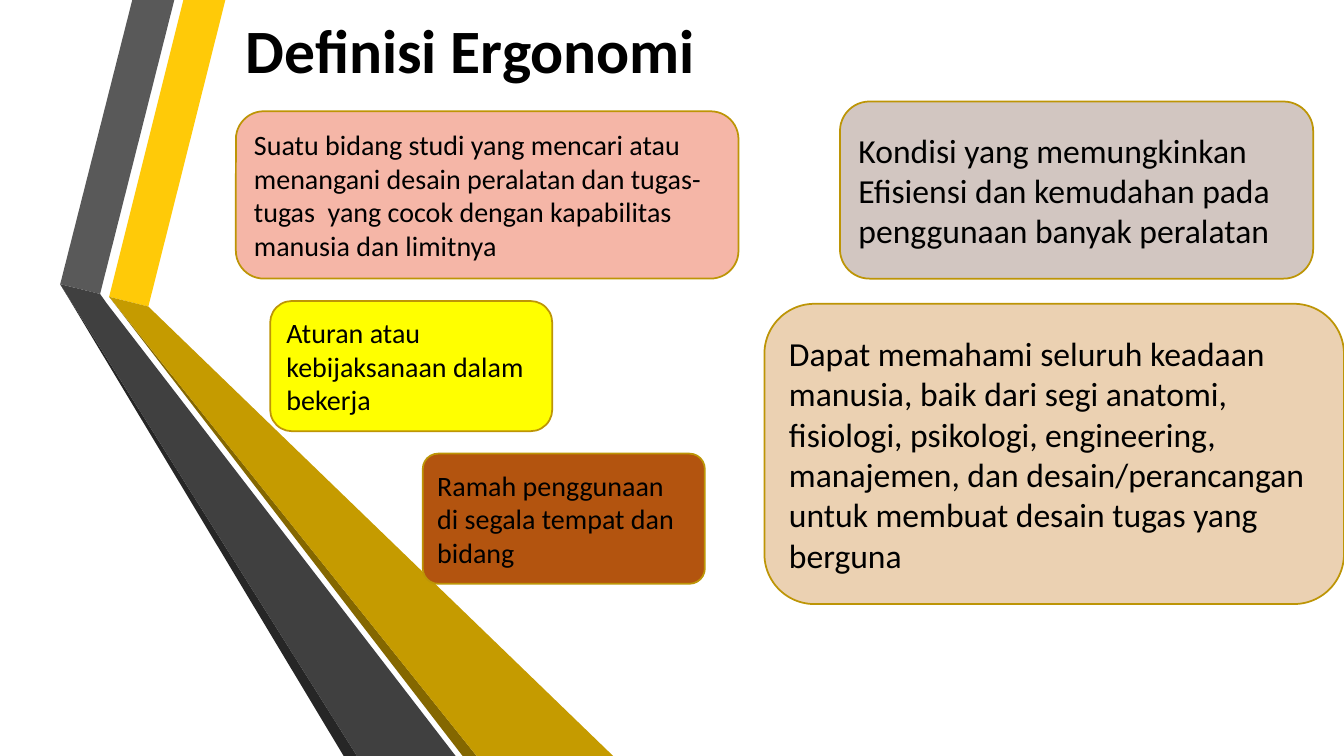
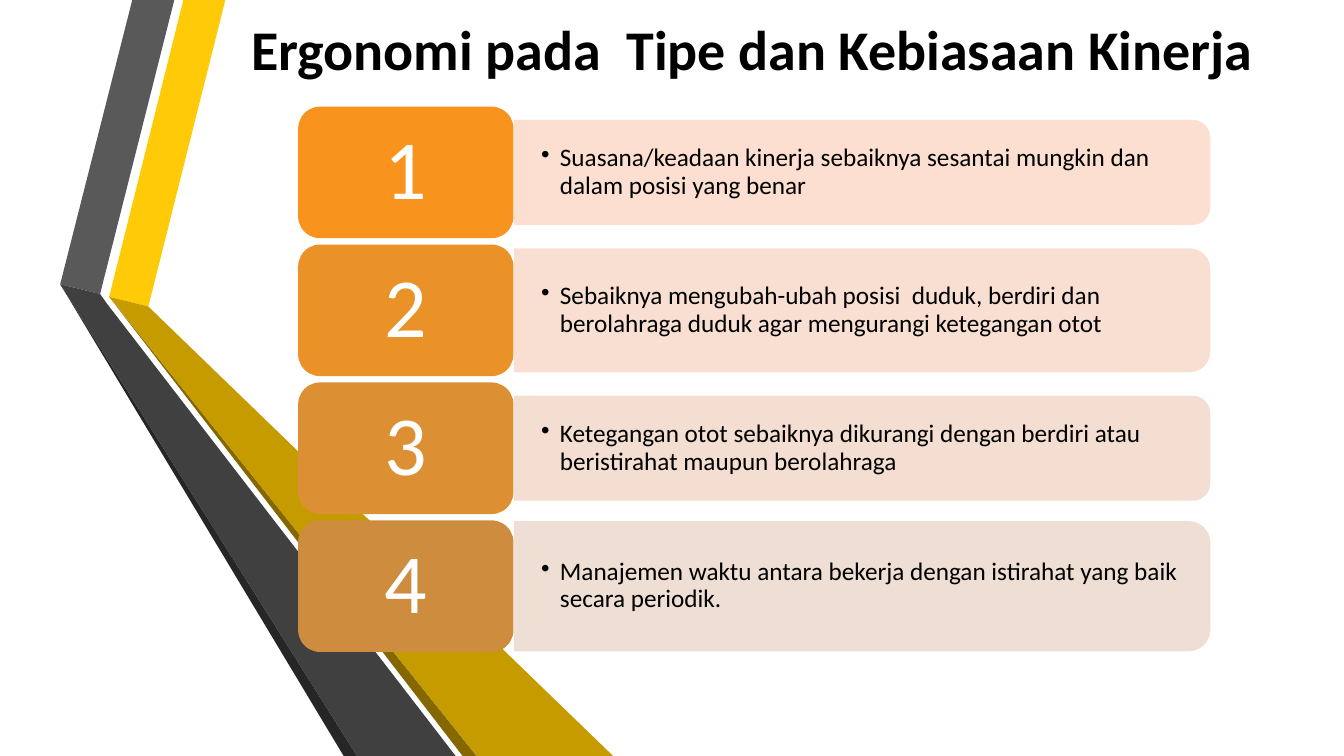
from lxml import etree
from pptx import Presentation
from pptx.dml.color import RGBColor
from pptx.enum.shapes import MSO_SHAPE
from pptx.enum.text import MSO_ANCHOR, PP_ALIGN
from pptx.oxml.ns import qn
from pptx.util import Pt

ROUNDED = MSO_SHAPE.ROUNDED_RECTANGLE
TWO_ROUNDED = MSO_SHAPE.ROUND_2_SAME_RECTANGLE
MIDDLE, BOTTOM = MSO_ANCHOR.MIDDLE, MSO_ANCHOR.BOTTOM
LEFT, CENTER = PP_ALIGN.LEFT, PP_ALIGN.CENTER

FONT = "Calibri"
BLACK = RGBColor(0x00, 0x00, 0x00)
WHITE = RGBColor(0xFF, 0xFF, 0xFF)
GOLD = RGBColor(0xFF, 0xCA, 0x08)
DARK_GOLD = RGBColor(0xC5, 0x9B, 0x00)
GOLD_SHADE = RGBColor(0x84, 0x67, 0x00)
GOLD_LINE = RGBColor(0xBD, 0x95, 0x06)
GRAY = RGBColor(0x59, 0x59, 0x59)
DARK_GRAY = RGBColor(0x40, 0x40, 0x40)
GRAY_SHADE = RGBColor(0x26, 0x26, 0x26)
PINK = RGBColor(0xF5, 0xB6, 0xA7)
SAND = RGBColor(0xEB, 0xD1, 0xB2)
YELLOW = RGBColor(0xFF, 0xFF, 0x00)
BROWN = RGBColor(0xB3, 0x54, 0x0F)
TAUPE = RGBColor(0xD2, 0xC6, 0xC1)

RIBBONS = [
    (GOLD, [(78, 212), (106, 219), (161, 0), (131, 0)]),
    (GRAY, [(71.5, 210), (124.5, 0), (94.5, 0), (43, 203)]),
    (GRAY_SHADE, [(43, 203), (245.5, 540), (255, 540)]),
    (GOLD_SHADE, [(78, 212), (330.5, 540), (340.5, 540)]),
    (DARK_GOLD, [(78, 212), (340.5, 540), (438, 540), (106, 219)]),
    (DARK_GRAY, [(43, 203), (255, 540), (325.5, 540), (76.5, 217), (71.5, 210)]),
]

DEFINITION_TITLE = ("Definisi Ergonomi", 44, (168.5, 9, 565, 56))
DEFINITIONS = [
    ("Suatu bidang studi yang mencari atau menangani desain peralatan dan tugas-tugas  "
     "yang cocok dengan kapabilitas manusia dan limitnya",
     20, PINK, (168.5, 79.5, 359, 119.5), 0.1667),
    ("Dapat memahami seluruh keadaan manusia, baik dari segi anatomi, fisiologi, "
     "psikologi, engineering, manajemen, dan desain/perancangan untuk membuat desain "
     "tugas yang berguna",
     24, SAND, (546, 217, 414, 214.5), 0.1667),
    ("Aturan atau kebijaksanaan dalam bekerja",
     20, YELLOW, (193, 215, 201.5, 93), 0.1667),
    ("Ramah penggunaan di segala tempat dan bidang",
     20, BROWN, (302, 324, 201.5, 93), 0.118),
    ("Kondisi yang memungkinkan Efisiensi dan kemudahan pada penggunaan banyak peralatan",
     24, TAUPE, (600, 72.5, 338, 126.5), 0.1667),
]

HABIT_TITLE = ("Ergonomi pada  Tipe dan Kebiasaan Kinerja", 40, (172.5, 2, 759, 60))
HABITS = [
    ("Suasana/keadaan kinerja sebaiknya sesantai mungkin dan dalam posisi yang benar",
     75, RGBColor(0xF8, 0x93, 0x1D), RGBColor(0xFC, 0xDC, 0xCD)),
    ("Sebaiknya mengubah-ubah posisi  duduk, berdiri dan berolahraga duduk agar "
     "mengurangi ketegangan otot",
     88.5, RGBColor(0xEA, 0x91, 0x28), RGBColor(0xF8, 0xDC, 0xCD)),
    ("Ketegangan otot sebaiknya dikurangi dengan berdiri atau beristirahat maupun "
     "berolahraga",
     75, RGBColor(0xDC, 0x8F, 0x33), RGBColor(0xF3, 0xDB, 0xCD)),
    ("Manajemen waktu antara bekerja dengan istirahat yang baik secara periodik.",
     93, RGBColor(0xCE, 0x8D, 0x3E), RGBColor(0xED, 0xDB, 0xCF)),
]
NUMBER_LEFT, NUMBER_TOP, NUMBER_WIDTH, NUMBER_HEIGHT = 213, 76.2, 153.8, 94
ROW_PITCH = 98.5
BAND_LEFT, BAND_WIDTH, BAND_TEXT_WIDTH = 367, 497.5, 493.5
BAND_INSETS = (19.5, 10)
BULLET_INDENT = 13.5


def write(shape, text, size, color=BLACK, align=LEFT, anchor=MIDDLE,
          bold=False, spacing=1.0, insets=(7.2, 3.6), bullet=False):
    frame = shape.text_frame
    frame.word_wrap = True
    frame.vertical_anchor = anchor
    frame.margin_left = frame.margin_right = Pt(insets[0])
    frame.margin_top = frame.margin_bottom = Pt(insets[1])
    paragraph = frame.paragraphs[0]
    paragraph.text = text
    paragraph.alignment = align
    paragraph.line_spacing = spacing
    if bullet:
        properties = paragraph._p.get_or_add_pPr()
        properties.set("marL", str(Pt(BULLET_INDENT)))
        properties.set("indent", str(-Pt(BULLET_INDENT)))
        etree.SubElement(properties, qn("a:buChar")).set("char", "•")
    font = paragraph.font
    font.name, font.size, font.bold = FONT, Pt(size), bold
    font.color.rgb = color


def paint(shape, fill, line=None):
    shape.shadow.inherit = False
    shape.fill.solid()
    shape.fill.fore_color.rgb = fill
    if line is None:
        shape.line.fill.background()
    else:
        shape.line.color.rgb = line
        shape.line.width = Pt(1.25)


def add_box(slide, preset, box, fill, line=None):
    shape = slide.shapes.add_shape(preset, *map(Pt, box))
    paint(shape, fill, line)
    return shape


def add_title(slide, text, size, box):
    write(slide.shapes.add_textbox(*map(Pt, box)), text, size, anchor=BOTTOM, bold=True)


def add_ribbons_to_layout(layout, slide):
    for placeholder in list(layout.placeholders):
        layout.shapes.element.remove(placeholder.element)
    for color, points in RIBBONS:
        (start_x, start_y), *others = points
        builder = slide.shapes.build_freeform(Pt(start_x), Pt(start_y))
        builder.add_line_segments([(Pt(x), Pt(y)) for x, y in others])
        ribbon = builder.convert_to_shape()
        paint(ribbon, color)
        layout.shapes.element.append(ribbon.element)


def build_definitions(slide):
    add_title(slide, *DEFINITION_TITLE)
    for text, size, fill, box, rounding in DEFINITIONS:
        shape = add_box(slide, ROUNDED, box, fill, GOLD_LINE)
        shape.adjustments[0] = rounding
        write(shape, text, size)


def build_habits(slide):
    add_title(slide, *HABIT_TITLE)
    for index, (text, height, number_fill, band_fill) in enumerate(HABITS):
        top = NUMBER_TOP + index * ROW_PITCH
        middle = top + NUMBER_HEIGHT / 2
        center = BAND_LEFT + BAND_WIDTH / 2
        band = add_box(slide, TWO_ROUNDED,
                       (center - height / 2, middle - BAND_WIDTH / 2, height, BAND_WIDTH),
                       band_fill)
        band.rotation = 90
        color = band.element.spPr.find(qn("a:solidFill")).find(qn("a:srgbClr"))
        etree.SubElement(color, qn("a:alpha")).set("val", "90000")
        label = slide.shapes.add_textbox(
            Pt(BAND_LEFT), Pt(middle - height / 2), Pt(BAND_TEXT_WIDTH), Pt(height))
        write(label, text, 18, spacing=0.9, insets=BAND_INSETS, bullet=True)
        number = add_box(slide, ROUNDED,
                         (NUMBER_LEFT, top, NUMBER_WIDTH, NUMBER_HEIGHT), number_fill)
        write(number, str(index + 1), 60, WHITE, CENTER, spacing=0.9)


def main():
    presentation = Presentation()
    presentation.slide_width, presentation.slide_height = Pt(960), Pt(540)
    layout = presentation.slide_layouts[6]
    definition_slide = presentation.slides.add_slide(layout)
    add_ribbons_to_layout(layout, definition_slide)
    build_definitions(definition_slide)
    build_habits(presentation.slides.add_slide(layout))
    presentation.save("out.pptx")


if __name__ == "__main__":
    main()
